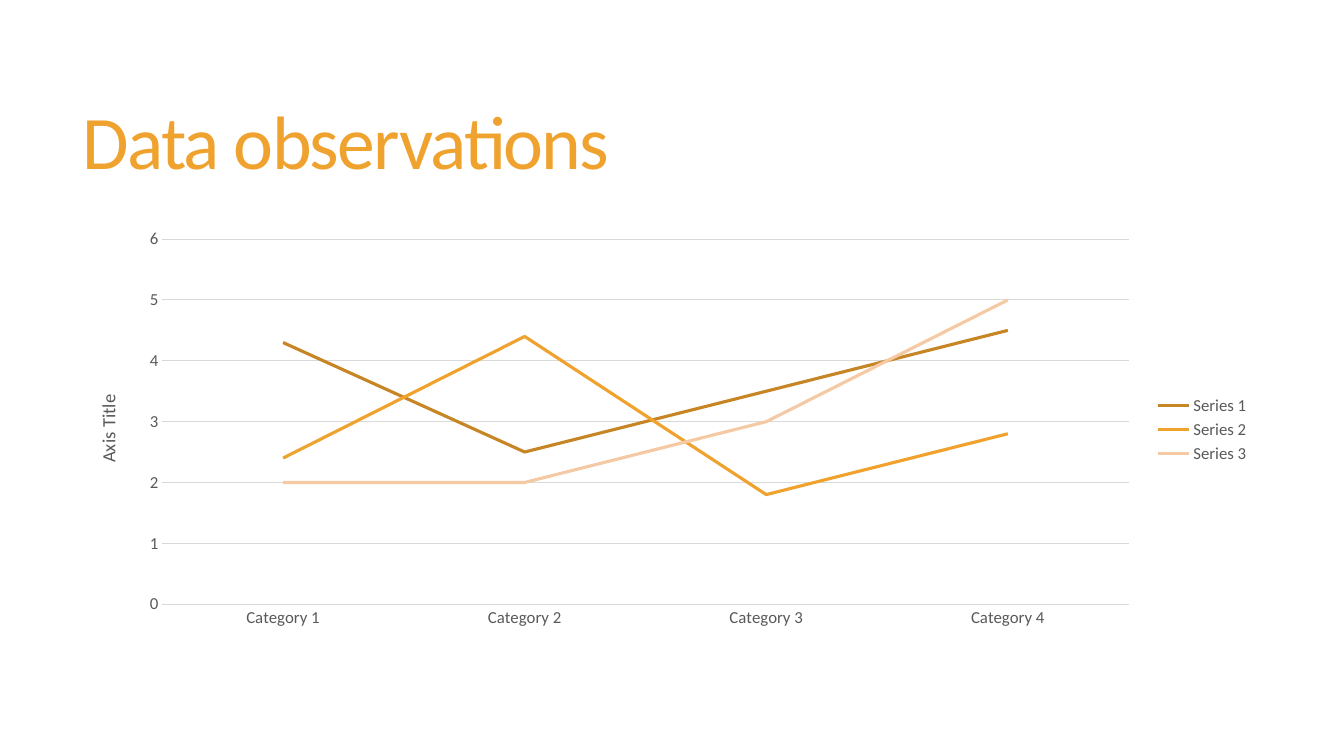
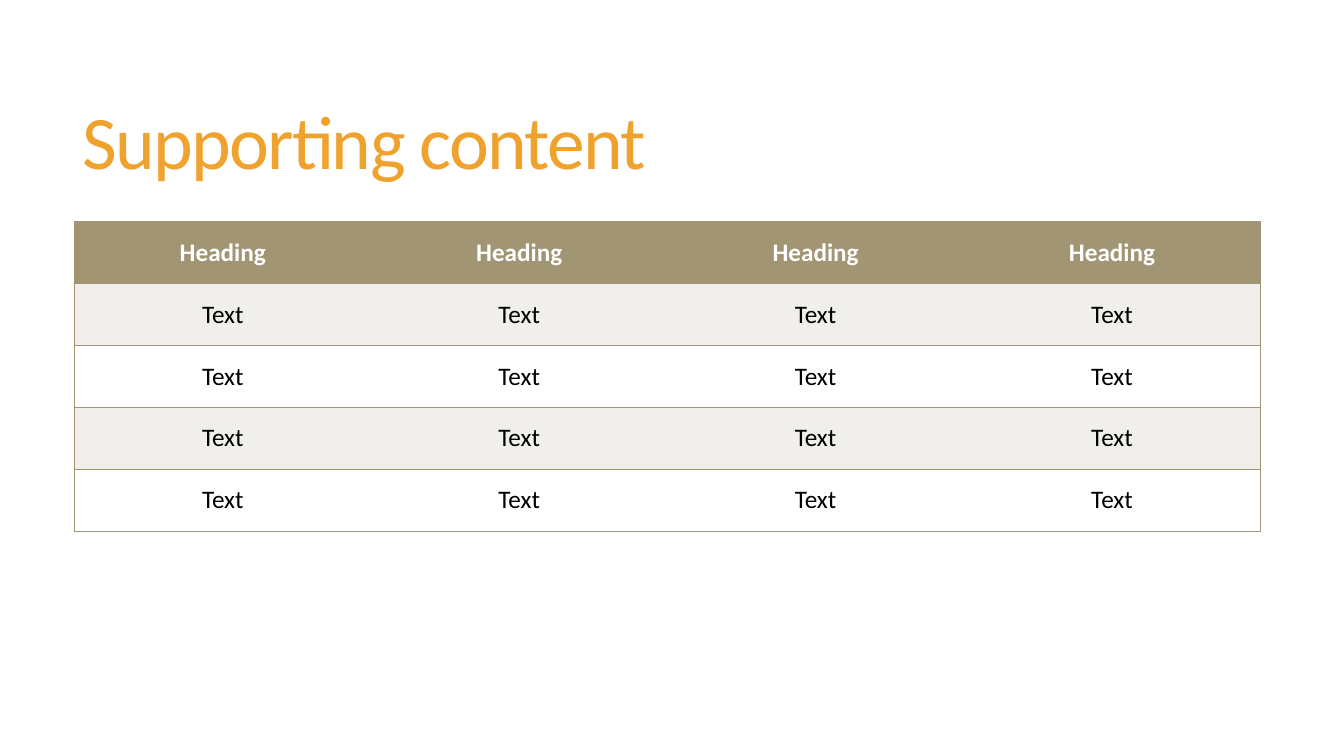
"""Build a line chart slide and a table slide that share one title style."""
from lxml.etree import SubElement
from pptx import Presentation
from pptx.chart.data import CategoryChartData
from pptx.dml.color import RGBColor
from pptx.enum.chart import XL_CHART_TYPE as ChartType
from pptx.enum.chart import XL_LEGEND_POSITION as LegendPosition
from pptx.enum.chart import XL_TICK_MARK as TickMark
from pptx.enum.text import MSO_ANCHOR as Anchor
from pptx.enum.text import PP_ALIGN as Align
from pptx.oxml.ns import qn
from pptx.util import Inches, Pt

FONT = "Calibri"
ORANGE, BROWN, PEACH = "F0A22E", "C78626", "F5C9A4"
KHAKI, PALE, WHITE, BLACK = "A19574", "F0EFEB", "FFFFFF", "000000"
GRAY, GRID = "595959", "D9D9D9"

SLIDE_SIZE = Inches(13.33), Inches(7.5)
TITLE_BOX = Inches(0.72), Inches(0.55), Inches(11.78), Inches(1.81)
COLUMN, ROW = Inches(2.94), Inches(0.614)
LEFT, TOP, WIDTH = Inches(0.74), Inches(2.2), 4 * COLUMN
CHART_HEIGHT = Inches(4.12)
PLOT_SHARES = {"x": 0.074, "y": 0.042, "w": 0.815, "h": 0.879}

CATEGORIES = [f"Category {number}" for number in range(1, 5)]
SERIES = [
    ("Series 1", BROWN, (4.3, 2.5, 3.5, 4.5)),
    ("Series 2", ORANGE, (2.4, 4.4, 1.8, 2.8)),
    ("Series 3", PEACH, (2, 2, 3, 5)),
]
TABLE_ROWS = [["Heading"] * 4] + [["Text"] * 4] * 4


def rgb(code):
    """Turn a hex string into a colour."""
    return RGBColor.from_string(code)


def style_font(font, size, color, bold=False):
    """Apply the shared typeface with a size, colour and weight."""
    font.name, font.size, font.bold = FONT, Pt(size), bold
    font.color.rgb = rgb(color)


def style_line(line, color, width):
    """Give a line a colour and a width in points."""
    line.color.rgb = rgb(color)
    line.width = Pt(width)


def add_titled_slide(presentation, title):
    """Add a blank slide with the shared title."""
    slide = presentation.slides.add_slide(presentation.slide_layouts[6])
    frame = slide.shapes.add_textbox(*TITLE_BOX).text_frame
    frame.word_wrap = True
    frame.vertical_anchor = Anchor.MIDDLE
    paragraph = frame.paragraphs[0]
    paragraph.text = title
    paragraph.line_spacing = 0.85
    style_font(paragraph.font, 54, ORANGE)
    paragraph.font._element.set("spc", "-120")
    return slide


def place_plot(chart, shares):
    """Fix the inner plot area as shares of the chart frame."""
    plot_area = chart._chartSpace.chart.plotArea
    for old_layout in plot_area.findall(qn("c:layout")):
        plot_area.remove(old_layout)
    layout = SubElement(plot_area, qn("c:layout"))
    plot_area.insert(0, layout)
    manual = SubElement(layout, qn("c:manualLayout"))
    settings = {"layoutTarget": "inner", "xMode": "edge", "yMode": "edge", **shares}
    for name, value in settings.items():
        SubElement(manual, qn(f"c:{name}")).set("val", str(value))


def style_axis(axis):
    """Remove tick marks and style the labels of an axis."""
    axis.major_tick_mark = axis.minor_tick_mark = TickMark.NONE
    style_font(axis.tick_labels.font, 12, GRAY)


def style_value_axis(axis, title):
    """Set the scale, grid lines and upright title of the value axis."""
    style_axis(axis)
    axis.minimum_scale, axis.maximum_scale, axis.major_unit = 0, 6, 1
    axis.format.line.fill.background()
    style_line(axis.major_gridlines.format.line, GRID, 0.75)
    frame = axis.axis_title.text_frame
    frame.text = title
    style_font(frame.paragraphs[0].font, 13.3, GRAY)
    body = frame._txBody.bodyPr
    body.set("rot", "-5400000")
    body.set("vert", "horz")


def add_line_chart(slide):
    """Add the line chart with its axes and legend."""
    data = CategoryChartData()
    data.categories = CATEGORIES
    for name, _, values in SERIES:
        data.add_series(name, values)
    chart = slide.shapes.add_chart(
        ChartType.LINE, LEFT, TOP, WIDTH, CHART_HEIGHT, data).chart
    chart.has_title = False
    style_font(chart.font, 10, BLACK)
    chart.has_legend = True
    chart.legend.position = LegendPosition.RIGHT
    chart.legend.include_in_layout = False
    style_font(chart.legend.font, 12, GRAY)
    style_axis(chart.category_axis)
    style_line(chart.category_axis.format.line, GRID, 0.75)
    style_value_axis(chart.value_axis, "Axis Title")
    plot = chart.plots[0]
    plot.vary_by_categories = False
    for series, (_, color, _) in zip(plot.series, SERIES):
        series.smooth = False
        style_line(series.format.line, color, 2.25)
    place_plot(chart, PLOT_SHARES)


def set_borders(cell, visible_sides):
    """Draw the named sides of a cell and clear the others."""
    properties = cell._tc.get_or_add_tcPr()
    for side in "LRTB":
        line = SubElement(properties, qn(f"a:ln{side}"), w=str(Pt(1)))
        if side in visible_sides:
            fill = SubElement(line, qn("a:solidFill"))
            SubElement(fill, qn("a:srgbClr"), val=KHAKI)
        else:
            SubElement(line, qn("a:noFill"))


def fill_cell(cell, text, background, color, bold):
    """Write centred text on a filled cell."""
    cell.fill.solid()
    cell.fill.fore_color.rgb = rgb(background)
    cell.vertical_anchor = Anchor.MIDDLE
    paragraph = cell.text_frame.paragraphs[0]
    paragraph.text = text
    paragraph.alignment = Align.CENTER
    style_font(paragraph.font, 18, color, bold)


def add_banded_table(slide, rows):
    """Add a table with a header, bands and horizontal rules."""
    row_count, column_count = len(rows), len(rows[0])
    table = slide.shapes.add_table(
        row_count, column_count, LEFT, TOP, WIDTH, ROW * row_count).table
    table.first_row = table.horz_banding = False
    for row_index, texts in enumerate(rows):
        is_header = row_index == 0
        band = PALE if row_index % 2 else WHITE
        background, color = (KHAKI, WHITE) if is_header else (band, BLACK)
        for column_index, text in enumerate(texts):
            cell = table.cell(row_index, column_index)
            outer = {0: "L", column_count - 1: "R"}.get(column_index, "")
            set_borders(cell, "TB" + outer)
            fill_cell(cell, text, background, color, is_header)


def main():
    """Build both slides and save the presentation."""
    presentation = Presentation()
    presentation.slide_width, presentation.slide_height = SLIDE_SIZE
    add_line_chart(add_titled_slide(presentation, "Data observations"))
    add_banded_table(add_titled_slide(presentation, "Supporting content"), TABLE_ROWS)
    presentation.save("out.pptx")


main()
